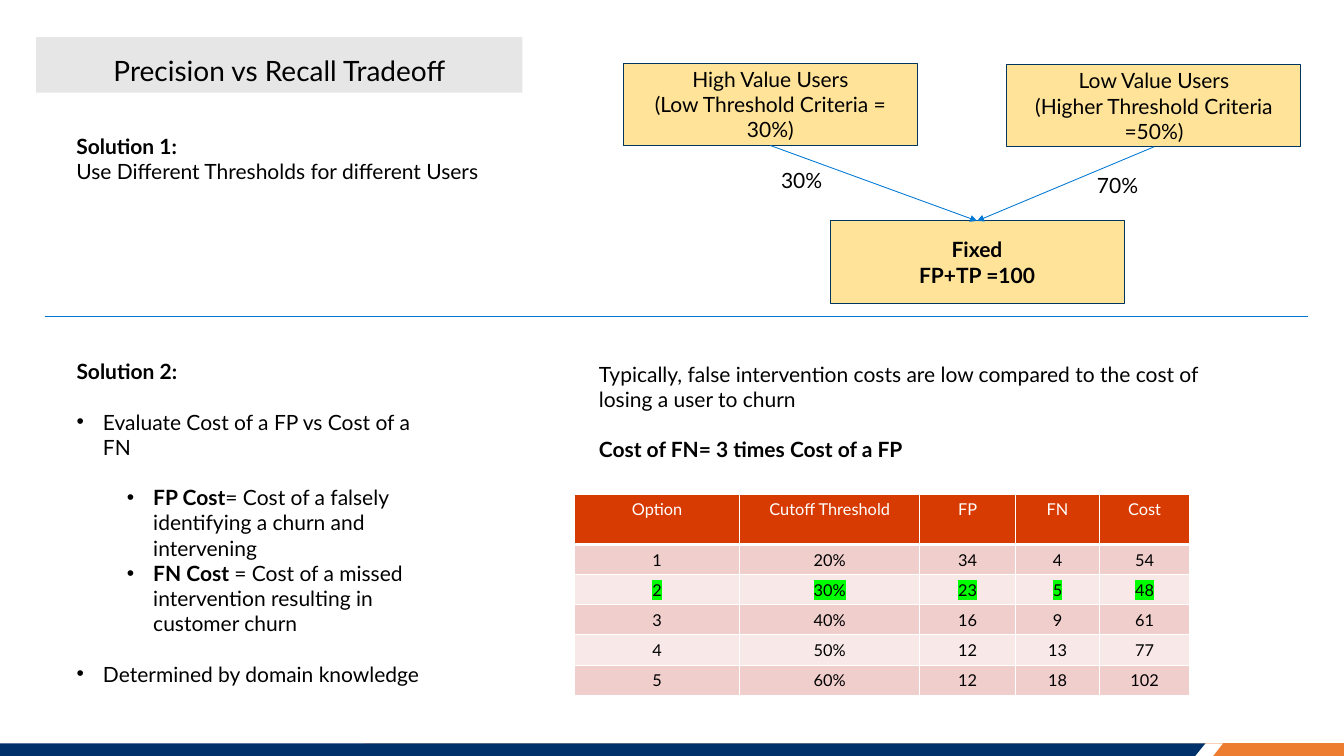
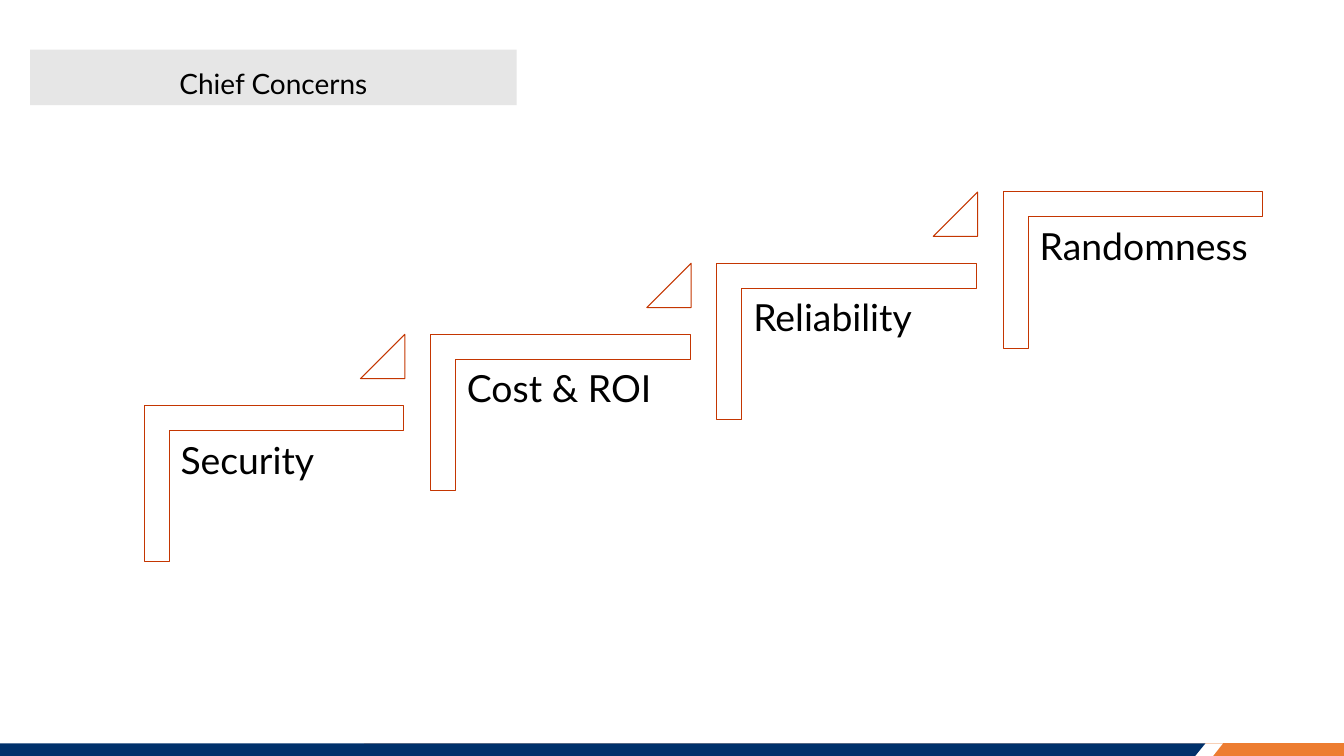
from lxml import etree
from pptx import Presentation
from pptx import util as u
from pptx.dml import color
from pptx.enum import shapes, text
from pptx.oxml import ns

Cm, Pt = u.Cm, u.Pt
FONT = "Lato"
BLACK, WHITE, NAVY, ORANGE = "000000", "FFFFFF", "00316B", "ED7D31"
GREY, SAND, EDGE, BLUE = "E6E6E6", "FFE399", "00355D", "0078D4"
RUST, RED, PINK, PALE, GREEN = "C43601", "D83B01", "F0CECC", "F8E8E7", "00FF00"
MID, GAP = text.PP_ALIGN.CENTER, 21.6
RECT = shapes.MSO_SHAPE.RECTANGLE

BANDS = [
    (ORANGE, [(11, 22.48), (40.64, 22.48), (40.64, 22.86), (11, 22.86)]),
    (WHITE, [(0, 22.48), (36.98, 22.48), (36.68, 22.86), (0, 22.86)]),
    (NAVY, [(0, 22.48), (36.45, 22.48), (36.14, 22.86), (0, 22.86)]),
]
COSTS = [
    ("Solution 2:", dict(bold=True)),
    ("Evaluate Cost of a FP vs Cost of a FN", dict(dot=0.8, gap=GAP)),
    ("= Cost of a falsely identifying a churn and intervening",
     dict(lead="FP Cost", dot=2.32, level=1, gap=GAP)),
    ("= Cost of a missed intervention resulting in customer churn",
     dict(lead="FN Cost ", dot=2.32, level=1)),
    ("Determined by domain knowledge", dict(dot=0.8, gap=GAP)),
]
NOTES = [
    ((2.06, 3.91, 12.78, 1.8),
     [("Solution 1:", dict(bold=True)),
      ("Use Different Thresholds for different Users", {})]),
    ((17.86, 10.8, 19.53, 3.33),
     [("Typically, false intervention costs are low compared to the cost of "
       "losing a user to churn", {}),
      ("Cost of FN= 3 times Cost of a FP", dict(bold=True, gap=GAP))]),
    ((23.16, 4.93, 2.16, 1.02), [("30%", dict(align=MID))]),
    ((32.92, 5.08, 2.16, 1.02), [("70%", {})]),
]
USERS = [
    (18.85, 1.91, ["High Value Users", "(Low Threshold Criteria = 30%)"], False),
    (30.45, 1.95, ["Low Value Users", "(Higher Threshold Criteria =50%)"], False),
    (25.1, 6.68, ["Fixed", "FP+TP =100"], True),
]
HEAD = ["Option", "Cutoff Threshold", "FP", "FN", "Cost"]
ROWS = [
    (1, "20%", 34, 4, 54),
    (2, "30%", 23, 5, 48),
    (3, "40%", 16, 9, 61),
    (4, "50%", 12, 13, 77),
    (5, "60%", 12, 18, 102),
]
WIDTHS = [5, 5.44, 2.9, 2.54, 2.72]
BEST = 2
STEPS = ["Security", "Cost & ROI", "Reliability", "Randomness"]


def rgb(code):
    return color.RGBColor.from_string(code)


def cms(*nums):
    return [Cm(n) for n in nums]


def write(frame, line, first=False, size=18, ink=BLACK, bold=False, lead="",
          align=text.PP_ALIGN.LEFT, gap=0, lines=1.0, level=0, dot=0, mark=None):
    para = frame.paragraphs[0] if first else frame.add_paragraph()
    para.alignment, para.level, para.line_spacing = align, level, lines
    para.space_before, para.space_after = Pt(gap), Pt(0)
    props = para._p.get_or_add_pPr()
    props.set("marL", str(Cm(dot)))
    props.set("indent", str(-Cm(0.8) if dot else 0))
    if dot:
        etree.SubElement(props, ns.qn("a:buChar")).set("char", "•")
    else:
        etree.SubElement(props, ns.qn("a:buNone"))
    for part, heavy in ((lead, True), (line, bold)):
        if not part:
            continue
        run = para.add_run()
        run.text = part
        font = run.font
        font.size, font.bold, font.name = Pt(size), heavy, FONT
        font.color.rgb = rgb(ink)
        if mark:
            glow = etree.Element(ns.qn("a:highlight"))
            etree.SubElement(glow, ns.qn("a:srgbClr")).set("val", mark)
            run._r.rPr.find(ns.qn("a:solidFill")).addnext(glow)


def fill(frame, paras):
    frame.word_wrap = True
    for i, (line, fmt) in enumerate(paras):
        write(frame, line, first=i == 0, **fmt)


def inset(box, side, top):
    box.margin_left = box.margin_right = Cm(side)
    box.margin_top = box.margin_bottom = Cm(top)


def place(shape, *nums):
    shape.left, shape.top, shape.width, shape.height = cms(*nums)


def paint(shape, tint, edge=None):
    shape.shadow.inherit = False
    shape.fill.solid()
    shape.fill.fore_color.rgb = rgb(tint)
    if edge:
        shape.line.color.rgb = rgb(edge)
        shape.line.width = Pt(0.85)
    else:
        shape.line.fill.background()


def label(slide, spot, paras):
    box = slide.shapes.add_textbox(*cms(*spot))
    fill(box.text_frame, paras)
    return box


def link(slide, start=(0, 0), end=(0, 0), ties=None):
    line = slide.shapes.add_connector(
        shapes.MSO_CONNECTOR.STRAIGHT, *cms(*start, *end))
    line.line.color.rgb = rgb(BLUE)
    line.line.width = Pt(0.75)
    if ties:
        line.begin_connect(ties[0], 2)
        line.end_connect(ties[1], 0)
        tip = etree.SubElement(line.line._get_or_add_ln(), ns.qn("a:tailEnd"))
        tip.set("type", "triangle")
    etree.SubElement(line._element.spPr, ns.qn("a:effectLst"))


def start(deck, kind, name, left, top):
    slide = deck.slides.add_slide(deck.slide_layouts[kind])
    title = slide.shapes.title
    place(title, left, top, 14.71, 1.68)
    title.fill.solid()
    title.fill.fore_color.rgb = rgb(GREY)
    frame = title.text_frame
    frame.auto_size = text.MSO_AUTO_SIZE.NONE
    frame.vertical_anchor = text.MSO_ANCHOR.BOTTOM
    inset(frame, 0.3, 0.15)
    fill(frame, [(name, dict(size=24, align=MID, lines=0.9))])
    return slide


def bands(deck, slide):
    for tint, pts in BANDS:
        spots = [cms(*pt) for pt in pts]
        pen = slide.shapes.build_freeform(*spots[0])
        pen.add_line_segments(spots[1:])
        shape = pen.convert_to_shape()
        paint(shape, tint)
        deck.slide_master.shapes.element.append(shape.element)


def rule(cell, base):
    props = cell._tc.get_or_add_tcPr()
    for i, side in enumerate("LRTB"):
        line = etree.Element(ns.qn("a:ln" + side))
        line.set("w", str(Pt(base if side == "B" else 1)))
        ink = etree.SubElement(line, ns.qn("a:solidFill"))
        etree.SubElement(ink, ns.qn("a:srgbClr")).set("val", WHITE)
        props.insert(i, line)


def grid(slide):
    data = [HEAD] + ROWS
    table = slide.shapes.add_table(
        len(data), len(HEAD), *cms(17.37, 14.94, sum(WIDTHS), 6.1)).table
    for col, wide in zip(table.columns, WIDTHS):
        col.width = Cm(wide)
    for r, row in enumerate(data):
        table.rows[r].height = Cm(0.91 if r else 1.53)
        tint = (PINK if r % 2 else PALE) if r else RED
        for c, value in enumerate(row):
            cell = table.cell(r, c)
            cell.fill.solid()
            cell.fill.fore_color.rgb = rgb(tint)
            rule(cell, 1 if r else 3)
            if r and c > 1:
                inset(cell, 0.03, 0.02)
            else:
                inset(cell, 0.3, 0.15)
            if r:
                cell.vertical_anchor = text.MSO_ANCHOR.MIDDLE
            write(cell.text_frame, str(value), first=True, size=14, align=MID,
                  ink=BLACK if r else WHITE, mark=GREEN if r == BEST else None)


def trade(deck):
    slide = start(deck, 1, "Precision vs Recall Tradeoff", 1.09, 1.12)
    bands(deck, slide)
    body = slide.placeholders[1]
    place(body, 2.06, 10.72, 10.95, 11.6)
    body.text_frame.auto_size = text.MSO_AUTO_SIZE.NONE
    fill(body.text_frame, COSTS)
    grid(slide)
    link(slide, (1.35, 9.58), (39.55, 9.58))
    boxes = []
    for left, top, lines, bold in USERS:
        box = slide.shapes.add_shape(RECT, *cms(left, top, 8.89, 2.49))
        paint(box, SAND, EDGE)
        box.text_frame.vertical_anchor = text.MSO_ANCHOR.MIDDLE
        fill(box.text_frame, [(s, dict(align=MID, bold=bold)) for s in lines])
        boxes.append(box)
    for box in boxes[:2]:
        link(slide, ties=(box, boxes[2]))
    for spot, paras in NOTES:
        label(slide, spot, paras)


def stairs(deck):
    slide = start(deck, 5, "Chief Concerns", 0.91, 1.5)
    for i, name in enumerate(STEPS):
        dx, dy = 8.66 * i, -2.15 * i
        step = slide.shapes.add_shape(
            shapes.MSO_SHAPE.CORNER, *cms(5.92 + dx, 10.69 + dy, 4.72, 7.85))
        step.rotation = 90
        step.adjustments[0] = step.adjustments[1] = 0.16
        paint(step, WHITE, RUST)
        box = label(slide, (5.13 + dx, 13.03 + dy, 7.09, 6.2),
                    [(name, dict(size=32, lines=0.9))])
        inset(box.text_frame, 0.33, 0.33)
        if i < len(STEPS) - 1:
            peak = slide.shapes.add_shape(
                shapes.MSO_SHAPE.ISOSCELES_TRIANGLE,
                *cms(10.9 + dx, 10.11 + dy, 1.34, 1.34))
            peak.adjustments[0] = 1
            paint(peak, WHITE, RUST)


def main():
    deck = Presentation()
    deck.slide_width, deck.slide_height = cms(40.64, 22.86)
    trade(deck)
    stairs(deck)
    deck.save("out.pptx")


if __name__ == "__main__":
    main()
